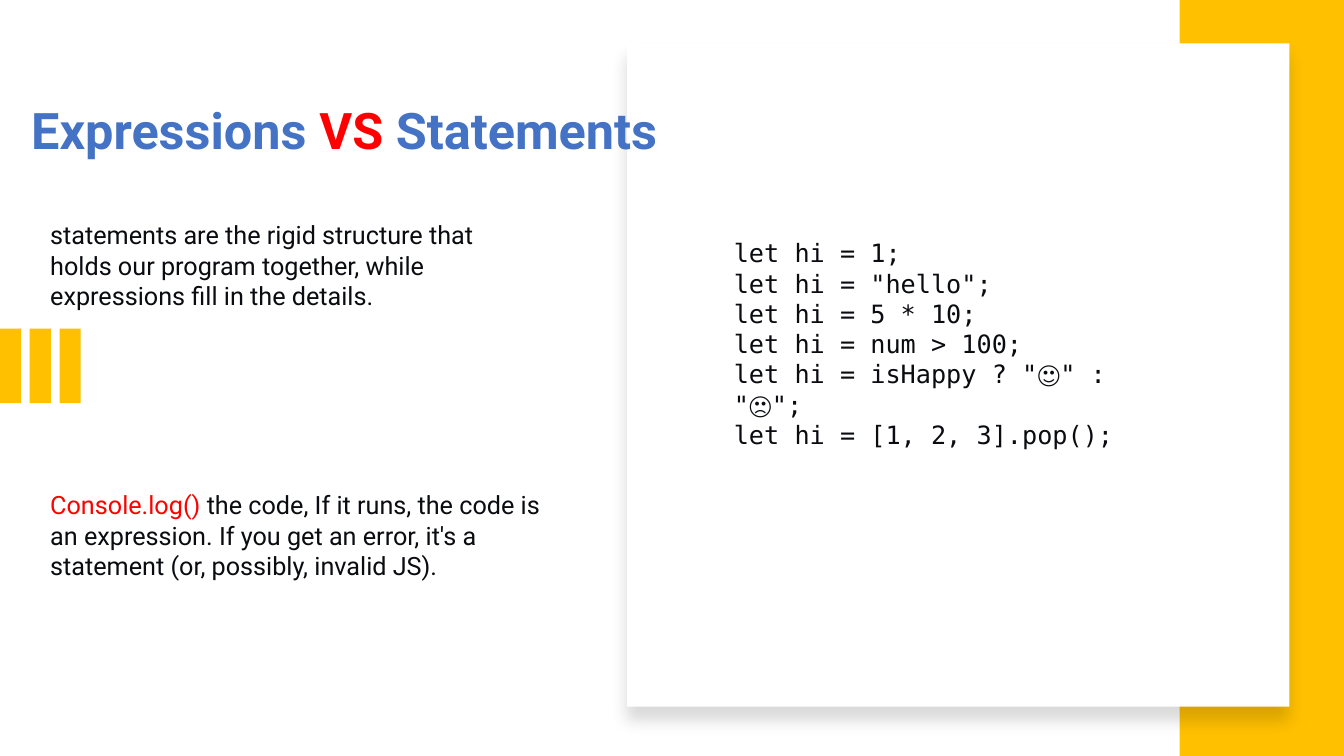
"""Build the slide comparing expressions with statements."""
import dataclasses

import lxml.etree
import pptx
import pptx.dml.color
import pptx.enum.shapes
import pptx.enum.text
import pptx.oxml.ns
import pptx.util

Inches = pptx.util.Inches
AMBER, WHITE, BLUE, RED, INK = "FFC000", "FFFFFF", "4472C4", "FF0000", "0A0C10"


@dataclasses.dataclass(frozen=True)
class Box:
    left: float
    top: float
    width: float
    height: float

    def lengths(self) -> tuple:
        return tuple(Inches(v) for v in (self.left, self.top, self.width, self.height))


@dataclasses.dataclass(frozen=True)
class Span:
    text: str
    color: str = INK


@dataclasses.dataclass(frozen=True)
class TextBlock:
    box: Box
    lines: list[list[Span]]
    font: str = "Roboto"
    size: int = 18
    bold: bool = False


BARS = [Box(0.295 * index, 3.26, 0.21, 0.74) for index in range(3)]
SIDE_BAND = Box(11.7, 0, 1.63, 7.5)
CARD = Box(6.22, 0.43, 6.57, 6.58)

TITLE = TextBlock(
    Box(0.21, 0.93, 6.66, 0.71),
    [[Span("Expressions ", BLUE), Span("VS ", RED), Span("Statements", BLUE)]],
    size=36,
    bold=True,
)
CODE_LINES = [
    'let hi = 1;',
    'let hi = "hello";',
    'let hi = 5 * 10;',
    'let hi = num > 100;',
    'let hi = isHappy ? "🙂" : "🙁";',
    'let hi = [1, 2, 3].pop();',
]
TEXT_BLOCKS = [
    TextBlock(
        Box(0.4, 2.13, 4.4, 1.01),
        [[Span("statements are the rigid structure that holds our program together, "
               "while expressions fill in the details.")]],
    ),
    TextBlock(
        Box(0.4, 4.81, 5.14, 1.01),
        [[Span("Console.log() ", RED),
          Span("the code, If it runs, the code is an expression. If you get an error, "
               "it's a statement (or, possibly, invalid JS).")]],
    ),
    TextBlock(
        Box(7.18, 2.31, 4.13, 1.92),
        [[Span(line)] for line in CODE_LINES],
        font="DejaVu Sans Mono",
    ),
]


def rgb(color: str) -> pptx.dml.color.RGBColor:
    return pptx.dml.color.RGBColor.from_string(color)


def add_rectangle(shapes, box: Box, color: str):
    shape = shapes.add_shape(pptx.enum.shapes.MSO_SHAPE.RECTANGLE, *box.lengths())
    shape.shadow.inherit = False
    shape.fill.solid()
    shape.fill.fore_color.rgb = rgb(color)
    shape.line.fill.background()
    return shape


def add_soft_shadow(shape) -> None:
    qn = pptx.oxml.ns.qn
    effects = shape.element.spPr.find(qn("a:effectLst"))
    shadow = lxml.etree.SubElement(
        effects, qn("a:outerShdw"), blurRad=str(pptx.util.Pt(11)),
        dist=str(pptx.util.Pt(10)), dir="5400000", algn="t", rotWithShape="0",
    )
    color = lxml.etree.SubElement(shadow, qn("a:srgbClr"), val="000000")
    lxml.etree.SubElement(color, qn("a:alpha"), val="15000")


def write_text(shape, block: TextBlock) -> None:
    shape.left, shape.top, shape.width, shape.height = block.box.lengths()
    frame = shape.text_frame
    frame.word_wrap = True
    frame.auto_size = pptx.enum.text.MSO_AUTO_SIZE.SHAPE_TO_FIT_TEXT
    frame.vertical_anchor = pptx.enum.text.MSO_ANCHOR.TOP
    for index, spans in enumerate(block.lines):
        paragraph = frame.add_paragraph() if index else frame.paragraphs[0]
        paragraph.alignment = pptx.enum.text.PP_ALIGN.LEFT
        for span in spans:
            run = paragraph.add_run()
            run.text = span.text
            run.font.name = block.font
            run.font.size = pptx.util.Pt(block.size)
            run.font.bold = block.bold
            run.font.color.rgb = rgb(span.color)


def main() -> None:
    presentation = pptx.Presentation()
    presentation.slide_width = Inches(13.33)
    presentation.slide_height = Inches(7.5)
    slide = presentation.slides.add_slide(presentation.slide_layouts[5])
    shapes = slide.shapes

    bar_group = shapes.add_group_shape()
    for bar in BARS:
        add_rectangle(bar_group.shapes, bar, AMBER)
    add_rectangle(shapes, SIDE_BAND, AMBER)
    add_soft_shadow(add_rectangle(shapes, CARD, WHITE))

    title = shapes.title
    title.element.getparent().append(title.element)
    write_text(title, TITLE)
    for block in TEXT_BLOCKS:
        write_text(shapes.add_textbox(*block.box.lengths()), block)

    presentation.save("out.pptx")


if __name__ == "__main__":
    main()
